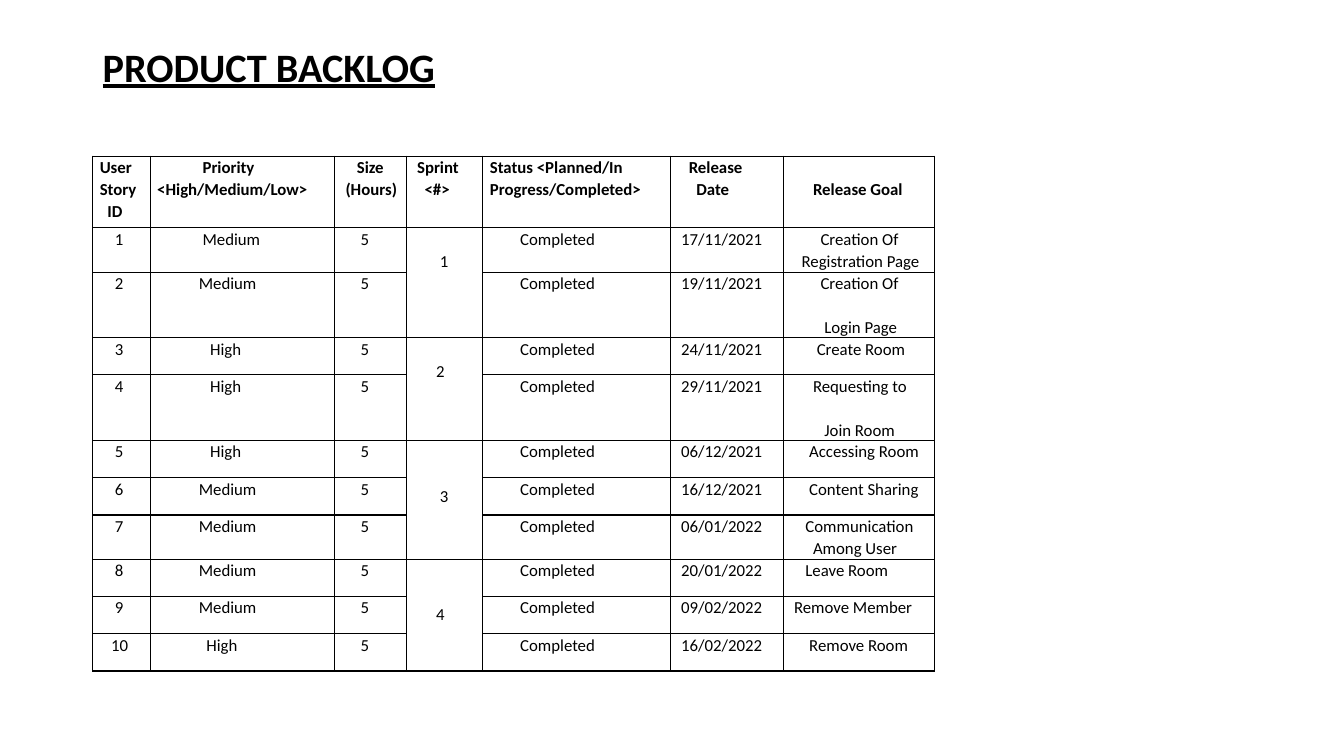
from pptx import Presentation
from pptx.dml.color import RGBColor
from pptx.enum.text import MSO_ANCHOR, PP_ALIGN
from pptx.oxml import parse_xml
from pptx.oxml.ns import nsdecls
from pptx.util import Inches, Pt

BLACK = RGBColor(0, 0, 0)
MIDDLE, TOP = MSO_ANCHOR.MIDDLE, MSO_ANCHOR.TOP
LEFT = PP_ALIGN.LEFT
STEP = Pt(2.7)
LINE = Inches(0.22)
TITLE = {"name": "Calibri", "size": Pt(28.8), "bold": True, "underline": True}
HEAD = {"name": "Calibri", "size": Pt(12), "bold": True}
BODY = {**HEAD, "bold": False}
INSET = {"margin_left": Inches(0.07), "margin_right": Inches(0.07),
         "margin_top": 0, "margin_bottom": 0, "vertical_anchor": TOP}
COLS = [0.57, 1.83, 0.71, 0.76, 1.86, 1.12, 1.5]
ROWS = [0.71, 0.44, 0.65, 0.37, 0.65, 0.37, 0.37, 0.44, 0.37, 0.37, 0.37]
SPRINT = 3

HEADS = [
    [("User Story", 0), ("ID", 2)],
    [("Priority", 12), ("<High/Medium/Low>", 0)],
    [("Size", 4), ("(Hours)", 1)],
    [("Sprint", 1), ("<#>", 3)],
    [("Status <Planned/In Progress/Completed>", 0)],
    [("Release", 3), ("Date", 5)],
    [("Release Goal", 6)],
]
STORIES = [
    ("Medium", 12, "17/11/2021", [("Creation Of", 8), ("Registration Page", 3)]),
    ("Medium", 11, "19/11/2021", [("Creation Of", 8), ("Login Page", 9, LINE)]),
    ("High", 14, "24/11/2021", [("Create Room", 7)]),
    ("High", 14, "29/11/2021", [("Requesting to", 6), ("Join Room", 9, LINE)]),
    ("High", 14, "06/12/2021", [("Accessing Room", 5)]),
    ("Medium", 11, "16/12/2021", [("Content Sharing", 5)]),
    ("Medium", 11, "06/01/2022", [("Communication", 4), ("Among User", 6)]),
    ("Medium", 11, "20/01/2022", [("Leave Room", 4)]),
    ("Medium", 11, "09/02/2022", [("Remove Member", 1)]),
    ("High", 13, "16/02/2022", [("Remove Room", 5)]),
]
SPANS = [(1, 2, 7, 1), (3, 2, 6, 1), (5, 3, 7, 2), (8, 3, 6, 2)]


def style(target, form):
    """Set every attribute named in a format dict."""
    for name, value in form.items():
        setattr(target, name, value)


def write(frame, lines, form, pitch):
    """Fill a text frame with (text, indent steps, space before) lines."""
    for i, (text, steps, *gap) in enumerate(lines):
        para = frame.add_paragraph() if i else frame.paragraphs[0]
        run = para.add_run()
        run.text = text
        style(para, {"alignment": LEFT, "line_spacing": pitch})
        if gap:
            para.space_before = gap[0]
        if steps:
            para._p.get_or_add_pPr().set("marL", str(steps * STEP))
        style(run.font, form)
        run.font.color.rgb = BLACK


def rule(cell):
    """Clear a cell's fill and draw its four borders."""
    cell.fill.background()
    props = cell._tc.get_or_add_tcPr()
    for i, side in enumerate("LRTB"):
        props.insert(i, parse_xml(
            f'<a:ln{side} {nsdecls("a")} w="{Pt(1)}"><a:solidFill>'
            f'<a:srgbClr val="{BLACK}"/></a:solidFill></a:ln{side}>'))


def title(slide, box):
    """Place the slide's heading in the box."""
    frame = slide.shapes.add_textbox(*box).text_frame
    style(frame, {"word_wrap": True, "vertical_anchor": MIDDLE})
    write(frame, [("PRODUCT BACKLOG", 0)], TITLE, 0.9)


def grid(slide, box):
    """Place the backlog table in the box."""
    table = slide.shapes.add_table(len(ROWS), len(COLS), *box).table
    style(table, {"first_row": False, "horz_banding": False})
    for col, share in zip(table.columns, COLS):
        col.width = int(box[2] * share / sum(COLS))
    for row, share in zip(table.rows, ROWS):
        row.height = int(box[3] * share / sum(ROWS))
    for cell in table.iter_cells():
        style(cell, INSET)
        rule(cell)
    for c, lines in enumerate(HEADS):
        write(table.cell(0, c).text_frame, lines, HEAD, 1.07)
    table.cell(0, len(COLS) - 1).margin_top = LINE
    for r, (rank, steps, date, goal) in enumerate(STORIES, 1):
        parts = {0: [(str(r), 4 if r < 10 else 3)], 1: [(rank, steps)],
                 2: [("5", 5)], 4: [("Completed", 8)], 5: [(date, 1)], 6: goal}
        for c, lines in parts.items():
            write(table.cell(r, c).text_frame, lines, BODY, 1.07)
    for num, (top, count, steps, drop) in enumerate(SPANS, 1):
        cell = table.cell(top, SPRINT)
        cell.merge(table.cell(top + count - 1, SPRINT))
        cell.margin_top = drop * LINE
        write(cell.text_frame, [(str(num), steps)], BODY, 1.07)


def main():
    """Build and save the slide."""
    deck = Presentation()
    style(deck, {"slide_width": Inches(13.33), "slide_height": Inches(7.5)})
    slide = deck.slides.add_slide(deck.slide_layouts[6])
    left = Inches(0.92)
    title(slide, (left, Inches(0.4), Inches(3.68), Inches(0.57)))
    grid(slide, (left, Inches(1.55), Inches(sum(COLS)), Inches(sum(ROWS))))
    deck.save("out.pptx")


if __name__ == "__main__":
    main()
